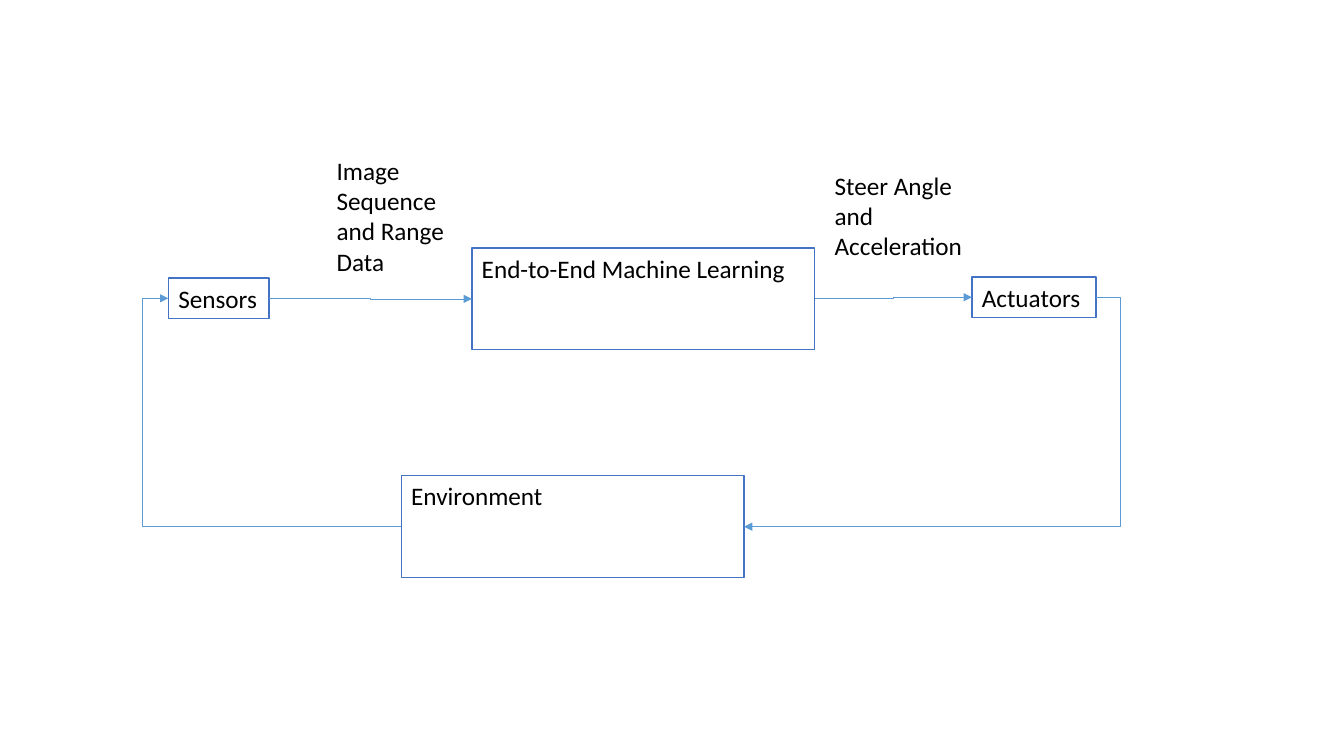
from pptx import Presentation
from pptx.dml.color import RGBColor
from pptx.enum.shapes import MSO_CONNECTOR, MSO_SHAPE
from pptx.enum.text import MSO_ANCHOR, PP_ALIGN
from pptx.oxml.ns import qn
from pptx.util import Inches, Pt
from lxml import etree

RECT = MSO_SHAPE.RECTANGLE
ELBOW = MSO_CONNECTOR.ELBOW
TOP = MSO_ANCHOR.TOP
LEFT_TEXT = PP_ALIGN.LEFT
LEFT, RIGHT = 1, 3

WHITE = RGBColor(0xFF, 0xFF, 0xFF)
BLACK = RGBColor(0, 0, 0)
BORDER = RGBColor(0x44, 0x72, 0xC4)
ARROW = RGBColor(0x5B, 0x9B, 0xD5)


def write(shape, text):
    frame = shape.text_frame
    frame.word_wrap = True
    frame.vertical_anchor = TOP
    frame.text = text
    para = frame.paragraphs[0]
    para.alignment = LEFT_TEXT
    font = para.runs[0].font
    font.name = "Calibri"
    font.size = Pt(18)
    font.color.rgb = BLACK


def add_box(slide, text, *place):
    box = slide.shapes.add_shape(RECT, *map(Inches, place))
    box.shadow.inherit = False
    box.fill.solid()
    box.fill.fore_color.rgb = WHITE
    box.line.color.rgb = BORDER
    box.line.width = Pt(1)
    write(box, text)
    return box


def add_label(slide, text, *place):
    write(slide.shapes.add_textbox(*map(Inches, place)), text)


def side_point(box, side):
    x = box.left if side == LEFT else box.left + box.width
    return x, box.top + box.height // 2


def add_arrow(slide, start, out, end, into, bend=0.5):
    """Join two boxes by an elbow; bend is its turn as a share of the width."""
    arrow = slide.shapes.add_connector(
        ELBOW, *side_point(start, out), *side_point(end, into))
    arrow.begin_connect(start, out)
    arrow.end_connect(end, into)
    arrow.line.color.rgb = ARROW
    arrow.line.width = Pt(0.5)
    props = arrow._element.spPr
    guides = props.find(qn("a:prstGeom")).get_or_add_avLst()
    etree.SubElement(guides, qn("a:gd"), name="adj1",
                     fmla=f"val {round(bend * 100000)}")
    etree.SubElement(props.find(qn("a:ln")), qn("a:tailEnd"), type="triangle")
    etree.SubElement(props, qn("a:effectLst"))


def main():
    deck = Presentation()
    deck.slide_width = Inches(13.33)
    deck.slide_height = Inches(7.5)
    slide = deck.slides.add_slide(deck.slide_layouts[6])

    learner = add_box(slide, "End-to-End Machine Learning",
                      4.68, 2.46, 3.4, 1.01)
    world = add_box(slide, "Environment", 3.98, 4.72, 3.4, 1.01)
    motors = add_box(slide, "Actuators", 9.64, 2.75, 1.23, 0.4)
    sensors = add_box(slide, "Sensors", 1.67, 2.76, 1, 0.4)

    add_arrow(slide, motors, RIGHT, world, RIGHT, -0.07)
    add_arrow(slide, learner, RIGHT, motors, LEFT)
    add_arrow(slide, sensors, RIGHT, learner, LEFT)
    add_arrow(slide, world, LEFT, sensors, LEFT, 1.11)

    add_label(slide, "Image Sequence and Range Data", 3.24, 1.49, 1.3, 1.31)
    add_label(slide, "Steer Angle and Acceleration", 8.18, 1.64, 1.57, 1.01)
    deck.save("out.pptx")


if __name__ == "__main__":
    main()
